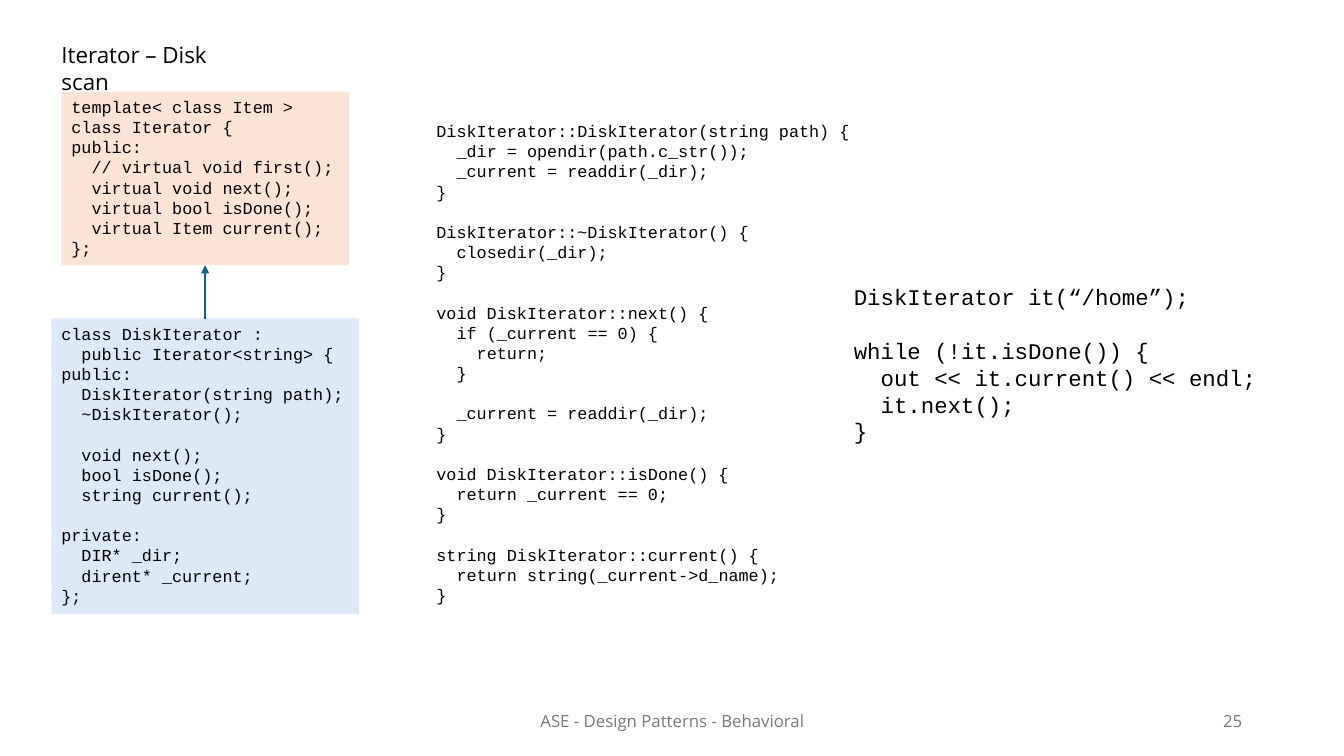
from lxml.etree import SubElement
from pptx import Presentation
from pptx.dml.color import RGBColor
from pptx.enum.shapes import MSO_CONNECTOR, MSO_SHAPE
from pptx.enum.text import MSO_ANCHOR, PP_ALIGN
from pptx.oxml.ns import qn
from pptx.util import Inches, Pt

BLACK = RGBColor(0x00, 0x00, 0x00)
GRAY = RGBColor(0x79, 0x79, 0x79)
PEACH = RGBColor(0xFB, 0xE3, 0xD6)
PALE_BLUE = RGBColor(0xDC, 0xEA, 0xF7)
TEAL = RGBColor(0x15, 0x60, 0x82)

ITERATOR_CODE = """\
template< class Item >
class Iterator {
public:
  // virtual void first();
  virtual void next();
  virtual bool isDone();
  virtual Item current();
};"""

DISK_ITERATOR_CODE = """\
class DiskIterator :
  public Iterator<string> {
public:
  DiskIterator(string path);
  ~DiskIterator();

  void next();
  bool isDone();
  string current();

private:
  DIR* _dir;
  dirent* _current;
};"""

METHODS_CODE = """\
DiskIterator::DiskIterator(string path) {
  _dir = opendir(path.c_str());
  _current = readdir(_dir);
}

DiskIterator::~DiskIterator() {
  closedir(_dir);
}

void DiskIterator::next() {
  if (_current == 0) {
    return;
  }

  _current = readdir(_dir);
}

void DiskIterator::isDone() {
  return _current == 0;
}

string DiskIterator::current() {
  return string(_current->d_name);
}"""

USAGE_CODE = """\
DiskIterator it(“/home”);

while (!it.isDone()) {
  out << it.current() << endl;
  it.next();
}"""


class CodeSlide:
    text_font = "Open Sans"
    code_font = "Courier New"
    character_width = 0.6  # share of the font size
    line_height = 1.2  # share of the font size

    def __init__(self, presentation):
        layout = presentation.slide_layouts.get_by_name("Title Only")
        self.slide = presentation.slides.add_slide(layout)

    def style(self, paragraph, font, size, color):
        paragraph.font.name = font
        paragraph.font.size = Pt(size)
        paragraph.font.color.rgb = color

    def title(self, text, left, top, width, height):
        title = self.slide.shapes.title
        title.left, title.top = Inches(left), Inches(top)
        title.width, title.height = Inches(width), Inches(height)
        title.text_frame.text = text
        title.text_frame.word_wrap = True
        title.text_frame.vertical_anchor = MSO_ANCHOR.TOP
        paragraph = title.text_frame.paragraphs[0]
        paragraph.alignment = PP_ALIGN.LEFT
        self.style(paragraph, self.text_font, 16, BLACK)

    def footer(self, text, left, width, alignment):
        box = self.slide.shapes.add_textbox(
            Inches(left), Inches(6.95), Inches(width), Inches(0.4))
        box.text_frame.text = text
        box.text_frame.word_wrap = True
        box.text_frame.vertical_anchor = MSO_ANCHOR.MIDDLE
        paragraph = box.text_frame.paragraphs[0]
        paragraph.alignment = alignment
        self.style(paragraph, self.text_font, 12, GRAY)

    def code(self, text, left, top, width, height, size=12, fill=None):
        """Adds a listing: leading spaces become indents, empty lines become spacing."""
        bounds = [Inches(length) for length in (left, top, width, height)]
        if fill is None:
            shape = self.slide.shapes.add_textbox(*bounds)
        else:
            shape = self.slide.shapes.add_shape(MSO_SHAPE.RECTANGLE, *bounds)
            shape.shadow.inherit = False
            shape.fill.solid()
            shape.fill.fore_color.rgb = fill
            shape.line.fill.background()
        frame = shape.text_frame
        frame.word_wrap = True
        frame.vertical_anchor = MSO_ANCHOR.TOP
        paragraph = frame.paragraphs[0]
        gap = 0
        for number, line in enumerate(text.splitlines()):
            if not line:
                gap += size * self.line_height
                continue
            if number:
                paragraph = frame.add_paragraph()
            statement = line.lstrip()
            indent = (len(line) - len(statement)) * size * self.character_width
            paragraph.text = statement
            paragraph.alignment = PP_ALIGN.LEFT
            paragraph.line_spacing = Pt(size * self.line_height)
            paragraph.space_before = Pt(gap)
            properties = paragraph._p.get_or_add_pPr()
            properties.set("marL", str(Pt(indent)))
            properties.set("indent", "0")
            self.style(paragraph, self.code_font, size, BLACK)
            gap = 0
        return shape

    def inheritance_arrow(self, derived, base):
        arrow = self.slide.shapes.add_connector(MSO_CONNECTOR.STRAIGHT, 0, 0, 0, 0)
        arrow.begin_connect(derived, 0)
        arrow.end_connect(base, 2)
        arrow.line.color.rgb = TEAL
        arrow.line.width = Pt(1.5)
        SubElement(arrow.line._get_or_add_ln(), qn("a:tailEnd"), type="triangle")
        SubElement(arrow._element.spPr, qn("a:effectLst"))


def main():
    presentation = Presentation()
    presentation.slide_width = Inches(13.33)
    presentation.slide_height = Inches(7.5)

    slide = CodeSlide(presentation)
    slide.footer("ASE - Design Patterns - Behavioral", 4.42, 4.5, PP_ALIGN.CENTER)
    slide.footer("25", 9.42, 3, PP_ALIGN.RIGHT)
    slide.title("Iterator – Disk scan", 0.51, 0.36, 2.04, 0.37)
    iterator = slide.code(ITERATOR_CODE, 0.61, 0.91, 2.85, 1.72, fill=PEACH)
    disk_iterator = slide.code(DISK_ITERATOR_CODE, 0.51, 3.16, 3.05, 2.93, fill=PALE_BLUE)
    slide.inheritance_arrow(disk_iterator, iterator)
    slide.code(METHODS_CODE, 4.23, 1.15, 4.37, 4.95)
    slide.code(USAGE_CODE, 8.37, 2.76, 4.25, 1.72, size=16)

    presentation.save("out.pptx")


if __name__ == "__main__":
    main()
